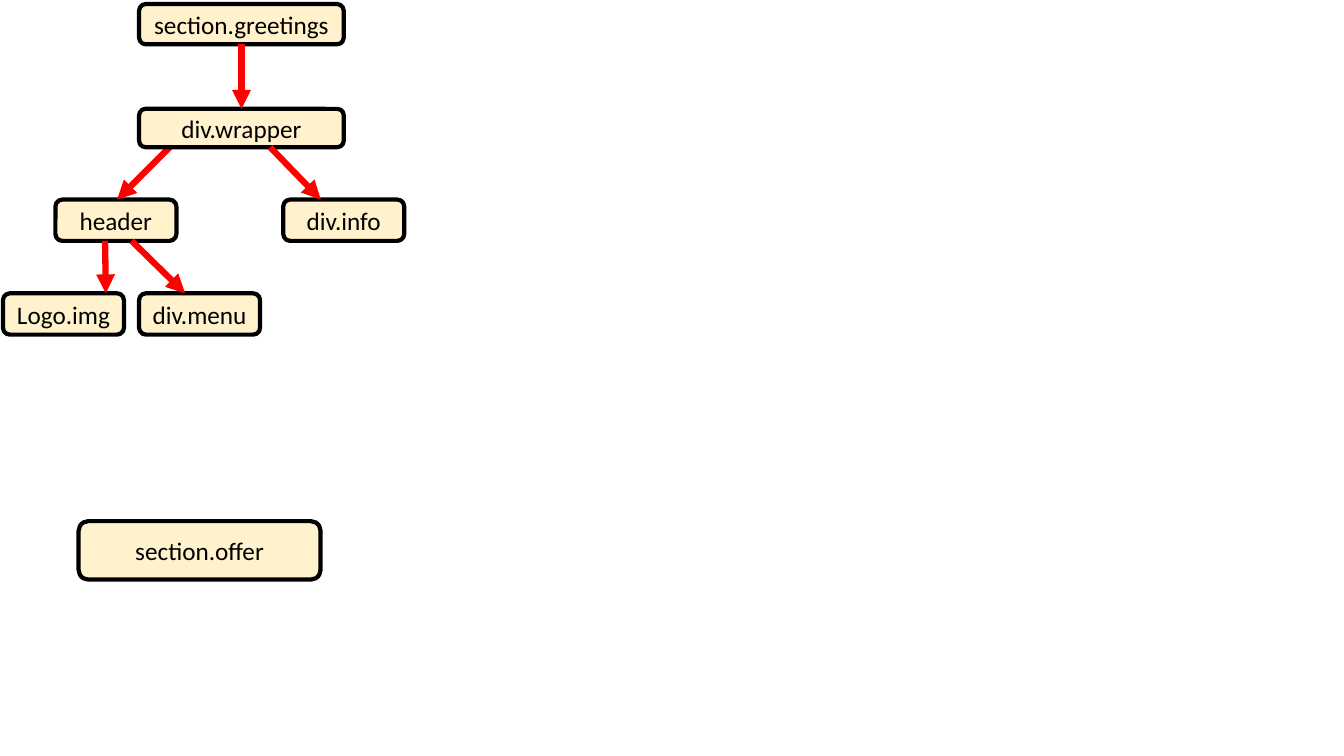
from dataclasses import dataclass

from pptx import Presentation
from pptx.dml.color import RGBColor
from pptx.enum.shapes import MSO_CONNECTOR, MSO_SHAPE
from pptx.enum.text import MSO_ANCHOR, PP_ALIGN
from pptx.oxml.ns import qn
from pptx.slide import Slide
from pptx.util import Inches, Length, Pt
from lxml.etree import SubElement


@dataclass(frozen=True)
class Theme:
    font: str = "Calibri"
    text_size: Length = Pt(18)
    text: RGBColor = RGBColor(0, 0, 0)
    fill: RGBColor = RGBColor(0xFF, 0xF2, 0xCC)
    border: RGBColor = RGBColor(0, 0, 0)
    border_width: Length = Pt(3)
    arrow: RGBColor = RGBColor(0xFF, 0, 0)
    arrow_width: Length = Pt(4.5)


@dataclass(frozen=True)
class Node:
    """A labelled box, placed in grid columns and rows."""
    label: str
    column: float
    row: float
    columns: float
    rows: float


@dataclass(frozen=True)
class Branch:
    """An arrow from a parent's bottom edge to a child's top edge."""
    parent: Node
    child: Node
    start_share: float
    end_share: float


THEME = Theme()

# Grid: square cells, 75 to the slide's height
SLIDE_WIDTH, SLIDE_HEIGHT = Inches(13.33), Inches(7.5)
CELL = SLIDE_HEIGHT / 75


def grid(cells: float) -> Length:
    return Length(round(cells * CELL))


def draw_node(page: Slide, node: Node) -> None:
    box = page.shapes.add_shape(
        MSO_SHAPE.ROUNDED_RECTANGLE,
        grid(node.column), grid(node.row), grid(node.columns), grid(node.rows))
    box.shadow.inherit = False
    box.fill.solid()
    box.fill.fore_color.rgb = THEME.fill
    box.line.color.rgb = THEME.border
    box.line.width = THEME.border_width
    frame = box.text_frame
    frame.word_wrap = True
    frame.vertical_anchor = MSO_ANCHOR.MIDDLE
    para = frame.paragraphs[0]
    para.text = node.label
    para.alignment = PP_ALIGN.CENTER
    para.font.name = THEME.font
    para.font.size = THEME.text_size
    para.font.color.rgb = THEME.text


def draw_branch(page: Slide, branch: Branch) -> None:
    parent, child = branch.parent, branch.child
    arrow = page.shapes.add_connector(
        MSO_CONNECTOR.STRAIGHT,
        grid(parent.column + parent.columns * branch.start_share),
        grid(parent.row + parent.rows),
        grid(child.column + child.columns * branch.end_share),
        grid(child.row))
    arrow.line.color.rgb = THEME.arrow
    arrow.line.width = THEME.arrow_width
    SubElement(arrow.line._get_or_add_ln(), qn("a:tailEnd"), type="triangle")
    SubElement(arrow._element.spPr, qn("a:effectLst"))


# Tree levels and box widths
WIDE, NARROW = 20.3, 12
MIDDLE_COLUMN = 13.8
HEADER_ROW, LEAF_ROW, LEAF_ROWS = 19.8, 29.1, 4.1

greetings = Node("section.greetings", MIDDLE_COLUMN, 0.4, WIDE, 4)
wrapper = Node("div.wrapper", MIDDLE_COLUMN, 10.8, WIDE, 3.8)
header = Node("header", 5.5, HEADER_ROW, NARROW, LEAF_ROWS)
info = Node("div.info", 28.1, HEADER_ROW, NARROW, LEAF_ROWS)
logo = Node("Logo.img", 0.3, LEAF_ROW, NARROW, LEAF_ROWS)
menu = Node("div.menu", MIDDLE_COLUMN, LEAF_ROW, NARROW, LEAF_ROWS)
offer = Node("section.offer", 7.8, 51.7, 24, 5.8)

# Parts from back to front
PARTS: list[Node | Branch] = [
    greetings,
    offer,
    header,
    Branch(wrapper, header, 0.15, 0.51),
    wrapper,
    Branch(greetings, wrapper, 0.5, 0.5),
    menu,
    logo,
    Branch(header, logo, 0.41, 0.85),
    Branch(header, menu, 0.63, 0.38),
    info,
    Branch(wrapper, info, 0.64, 0.31),
]

deck = Presentation()
deck.slide_width, deck.slide_height = SLIDE_WIDTH, SLIDE_HEIGHT
page = deck.slides.add_slide(deck.slide_layouts[6])

for part in PARTS:
    if isinstance(part, Node):
        draw_node(page, part)
    else:
        draw_branch(page, part)

deck.save("out.pptx")
